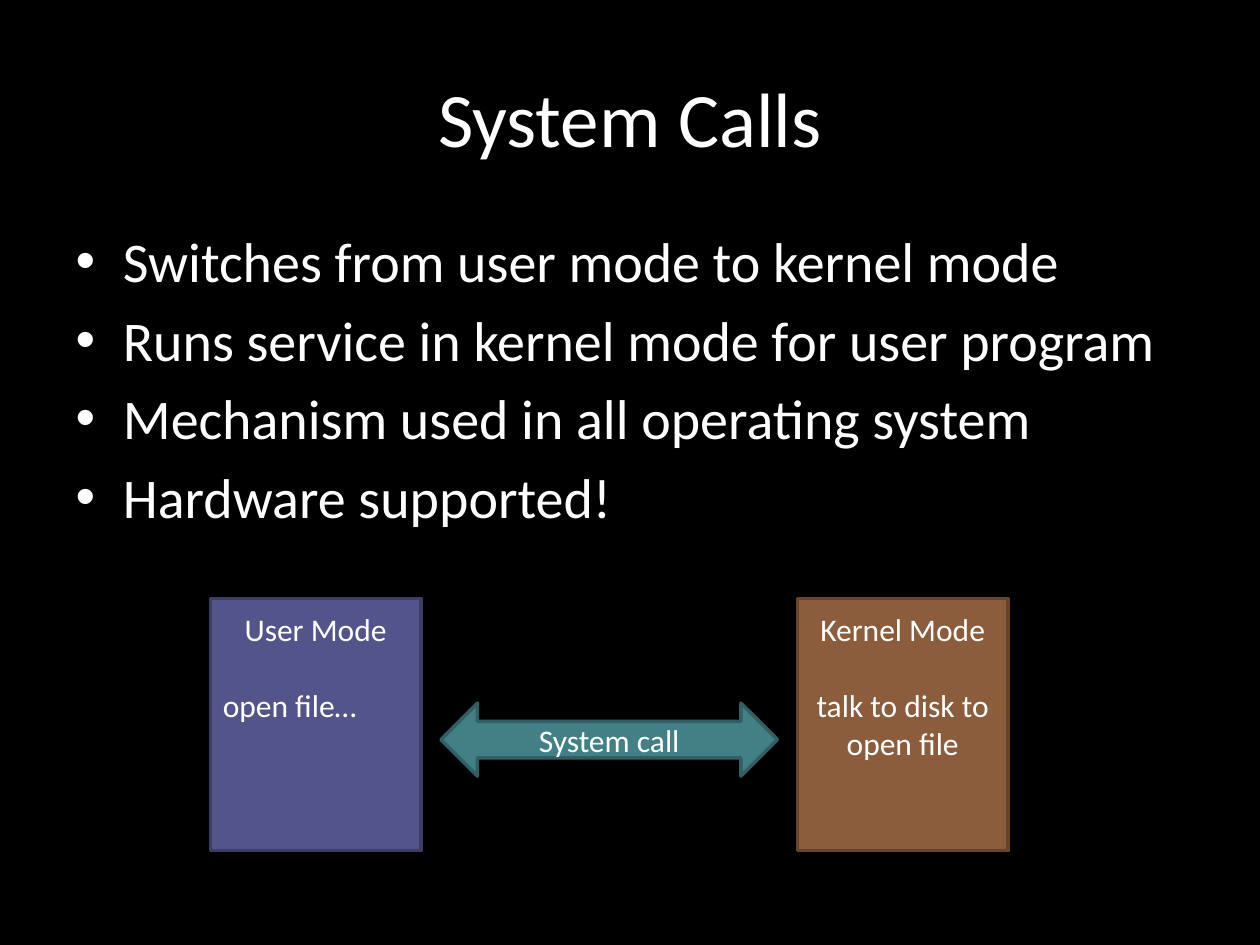
from dataclasses import dataclass

from pptx import Presentation
from pptx.dml.color import RGBColor as RGB
from pptx.enum.shapes import MSO_SHAPE as Kind
from pptx.enum.text import MSO_ANCHOR as Anchor, PP_ALIGN as Align
from pptx.util import Inches, Pt


@dataclass(frozen=True)
class Theme:
    font: str = "Calibri"
    back: RGB = RGB(0, 0, 0)
    ink: RGB = RGB(255, 255, 255)
    title: int = 44
    body: int = 32
    label: int = 18
    edge: int = 2
    gap: int = 22  # one label line, in points


@dataclass(frozen=True)
class Block:
    kind: Kind
    area: tuple[float, float, float, float]
    fill: str
    line: str
    text: str
    aligns: tuple[Align, ...]
    anchor: Anchor


THEME = Theme()
BOX = Kind.FLOWCHART_PROCESS
MID, LEFT = Align.CENTER, Align.LEFT
TOP, WIDE, HIGH = 4.75, 1.67, 2

BLOCKS = [
    Block(BOX, (1.67, TOP, WIDE, HIGH), "53548A", "3D3E66",
          "User Mode\nopen file…", (MID, LEFT), Anchor.TOP),
    Block(BOX, (6.33, TOP, WIDE, HIGH), "8B5D3D", "67452D",
          "Kernel Mode\ntalk to disk to open file", (MID, MID), Anchor.TOP),
    Block(Kind.LEFT_RIGHT_ARROW, (3.5, 5.58, 2.67, 0.58), "438086", "325F63",
          "System call", (MID,), Anchor.MIDDLE),
]

POINTS = [
    "Switches from user mode to kernel mode",
    "Runs service in kernel mode for user program",
    "Mechanism used in all operating system",
    "Hardware supported!",
]


def style(frame, size: int) -> None:
    for para in frame.paragraphs:
        for run in para.runs:
            run.font.name = THEME.font
            run.font.size = Pt(size)
            run.font.color.rgb = THEME.ink


def write(holder, area: tuple[float, ...], text: str, size: int) -> None:
    holder.left, holder.top, holder.width, holder.height = map(Inches, area)
    holder.text_frame.text = text
    style(holder.text_frame, size)


def draw(slide, block: Block) -> None:
    shape = slide.shapes.add_shape(block.kind, *map(Inches, block.area))
    shape.shadow.inherit = False
    shape.fill.solid()
    shape.fill.fore_color.rgb = RGB.from_string(block.fill)
    shape.line.color.rgb = RGB.from_string(block.line)
    shape.line.width = Pt(THEME.edge)

    frame = shape.text_frame
    frame.word_wrap = True
    frame.vertical_anchor = block.anchor
    if block.anchor == Anchor.TOP:
        frame.margin_top = Inches(0.09)
    frame.text = block.text
    for row, (para, align) in enumerate(zip(frame.paragraphs, block.aligns)):
        para.alignment = align
        para.space_before = Pt(THEME.gap if row else 0)
    style(frame, THEME.label)


def main() -> None:
    deck = Presentation()
    deck.slide_width, deck.slide_height = Inches(10), Inches(7.5)
    slide = deck.slides.add_slide(deck.slide_layouts[1])
    slide.background.fill.solid()
    slide.background.fill.fore_color.rgb = THEME.back

    # Title and list
    title, body = slide.placeholders
    write(title, (0.5, 0.3, 9, 1.25), "System Calls", THEME.title)
    write(body, (0.5, 1.75, 9, 4.95), "\n".join(POINTS), THEME.body)

    # The two modes and the call between them
    for block in BLOCKS:
        draw(slide, block)

    deck.save("out.pptx")


if __name__ == "__main__":
    main()
